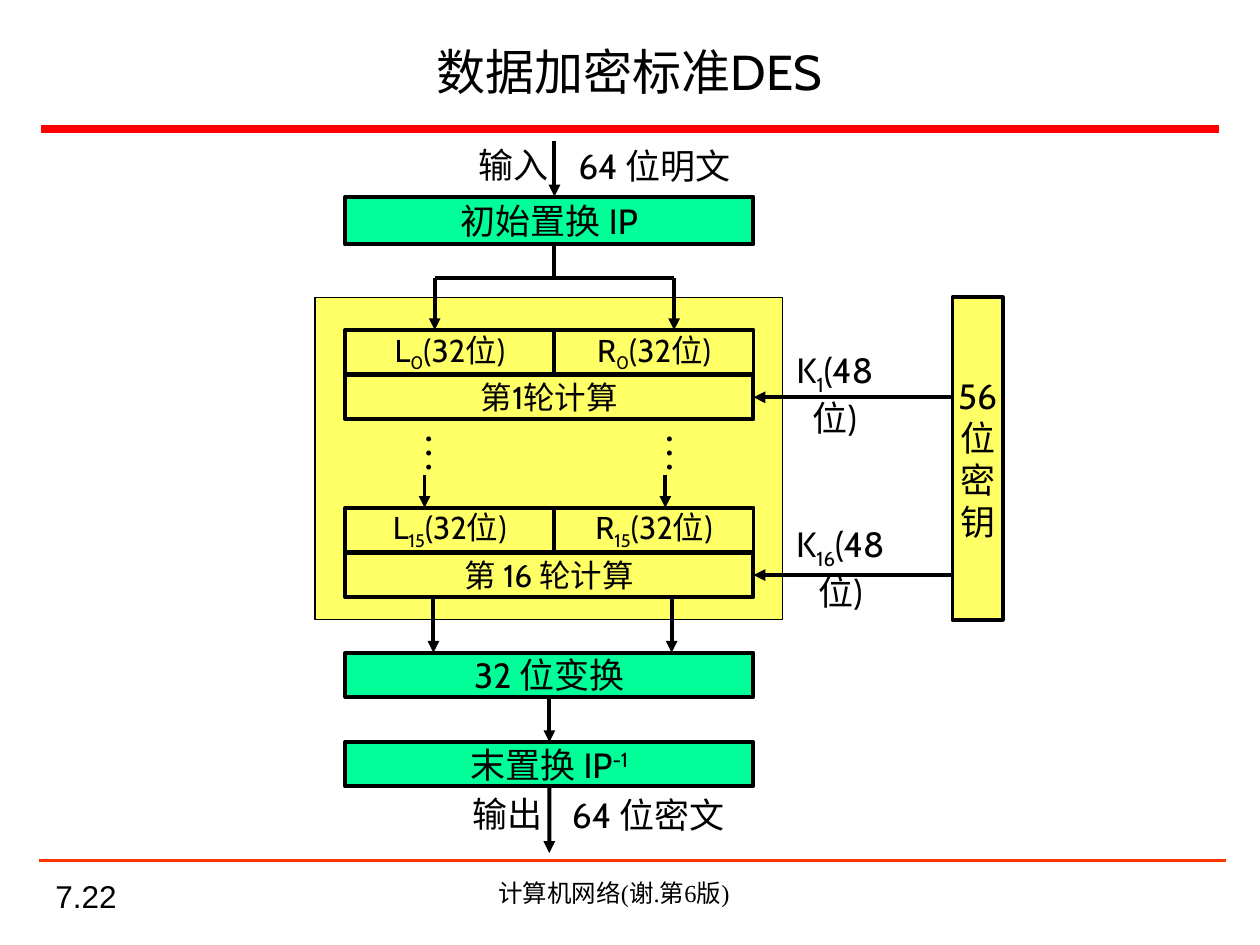
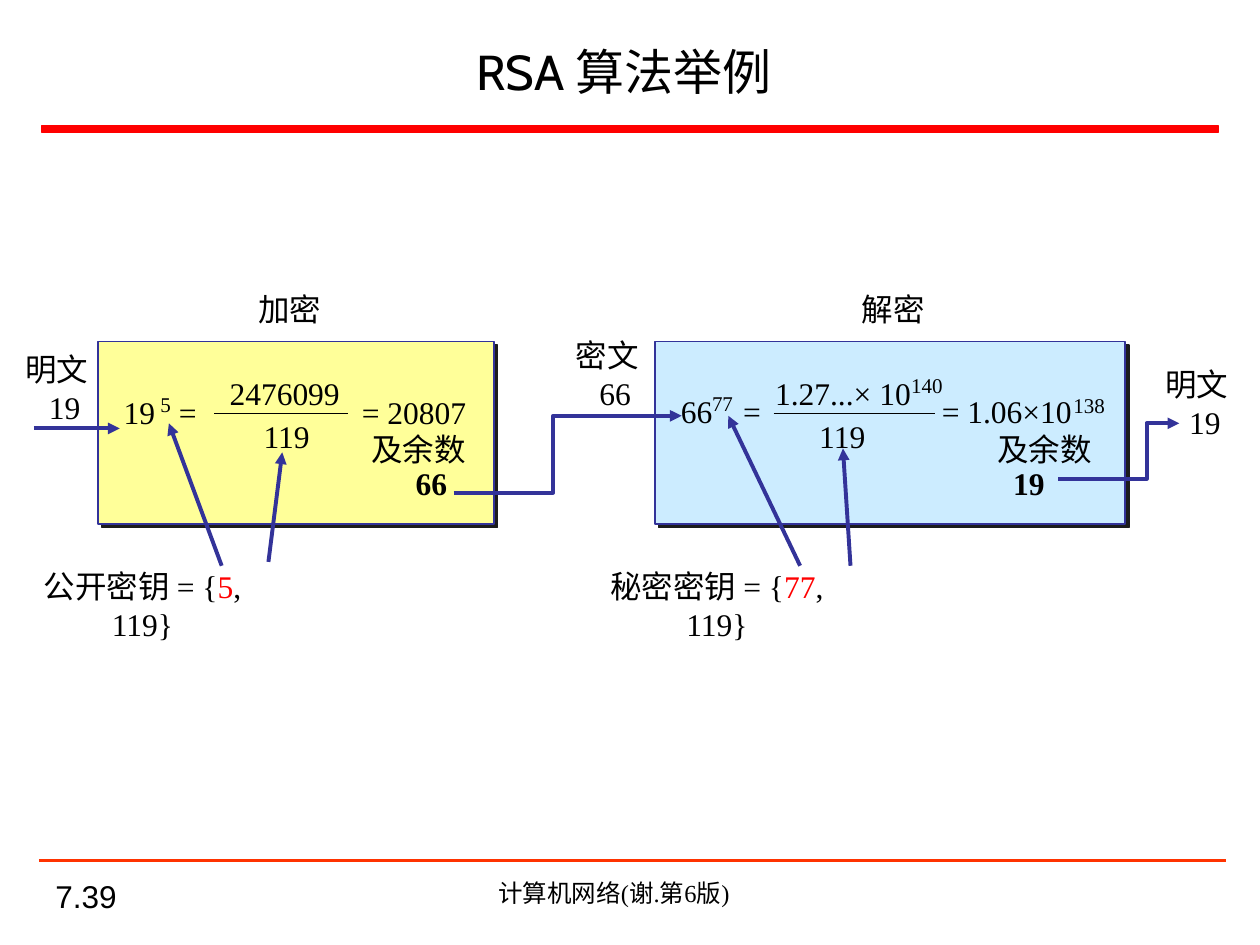
from dataclasses import dataclass
from typing import NamedTuple

from pptx import Presentation
from pptx.dml.color import RGBColor
from pptx.enum.shapes import MSO_CONNECTOR, MSO_SHAPE
from pptx.enum.text import MSO_ANCHOR, PP_ALIGN
from pptx.oxml.ns import qn
from pptx.oxml.xmlchemy import OxmlElement
from pptx.util import Pt


@dataclass(frozen=True)
class Theme:
    black: str = "000000"
    red: str = "FF0000"
    rule: str = "FF3300"
    number: str = "1C1C1C"
    shadow: str = "1C1C1C"
    green: str = "00FF99"
    yellow: str = "FFFF66"
    navy: str = "333399"
    encrypt: str = "FFFF99"
    decrypt: str = "CCECFF"
    sans: str = "Cabin"
    serif: str = "Times New Roman"
    plain: str = "Arial"
    title: float = 28
    dots: float = 24
    large: float = 20
    body: float = 18
    footer: float = 14
    power: float = 12
    thick: float = 2.25


T = Theme()


class Run(NamedTuple):
    text: str
    color: str = T.black
    base: int = 0
    bold: bool = False


class Line(NamedTuple):
    runs: tuple[Run, ...]
    shift: float = 0
    spacing: float | None = None
    before: float = 0


class Box(NamedTuple):
    x: float
    y: float
    w: float
    h: float


class Style(NamedTuple):
    font: str = T.serif
    size: float = T.body
    align: PP_ALIGN = PP_ALIGN.CENTER
    anchor: MSO_ANCHOR = MSO_ANCHOR.TOP
    wrap: bool = False


class Label(NamedTuple):
    box: Box
    lines: tuple[Line, ...]
    style: Style = Style()


class Arrow(NamedTuple):
    x1: float
    y1: float
    x2: float
    y2: float
    head: bool = True
    color: str = T.black
    width: float = T.thick


SANS = Style(T.sans, T.large)
CELL = Style(T.sans, T.body, anchor=MSO_ANCHOR.MIDDLE)
STAGE = CELL._replace(size=T.large)


def line(text: str, **kw) -> Line:
    return Line((Run(text),), **kw)


def lines(*texts: str) -> tuple[Line, ...]:
    return tuple(line(t) for t in texts)


def rgb(value: str) -> RGBColor:
    return RGBColor.from_string(value)


def pts(*values: float) -> list[int]:
    return [Pt(v) for v in values]


def write(s, content: tuple[Line, ...], style: Style) -> None:
    tf = s.text_frame
    for k, v in {"word_wrap": style.wrap, "vertical_anchor": style.anchor}.items():
        setattr(tf, k, v)
    for i, ln in enumerate(content):
        p = tf.add_paragraph() if i else tf.paragraphs[0]
        fmt = {"alignment": style.align, "line_spacing": ln.spacing, "space_before": Pt(ln.before)}
        for k, v in fmt.items():
            setattr(p, k, v)
        if ln.shift:
            side = "marL" if ln.shift > 0 else "marR"
            p._p.get_or_add_pPr().set(side, str(Pt(abs(ln.shift))))
        for run in ln.runs:
            r = p.add_run()
            r.text = run.text
            for k, v in {"name": style.font, "size": Pt(style.size), "bold": run.bold}.items():
                setattr(r.font, k, v)
            r.font.color.rgb = rgb(run.color)
            if run.base:
                r._r.get_or_add_rPr().set("baseline", str(run.base * 1000))


def add_label(slide, label: Label):
    s = slide.shapes.add_textbox(*pts(*label.box))
    write(s, label.lines, label.style)
    return s


def stroke(s, color: str, width: float, head: bool = False) -> None:
    s.line.color.rgb = rgb(color)
    s.line.width = Pt(width)
    if head:
        end = OxmlElement("a:tailEnd")
        end.set("type", "triangle")
        s.line._get_or_add_ln().append(end)


def add_box(slide, box: Box, fill: str | None = None, color: str = T.black, width: float = T.thick,
            content: tuple[Line, ...] = (), style: Style = CELL):
    s = slide.shapes.add_shape(MSO_SHAPE.RECTANGLE, *pts(*box))
    s.shadow.inherit = False
    if fill:
        s.fill.solid()
        s.fill.fore_color.rgb = rgb(fill)
    else:
        s.fill.background()
    stroke(s, color, width)
    if content:
        write(s, content, style)
    return s


def drop_shadow(s) -> None:
    shadow = OxmlElement("a:outerShdw")
    for k, v in {"blurRad": 0, "dist": Pt(2.8), "dir": 45 * 60000, "algn": "ctr", "rotWithShape": 0}.items():
        shadow.set(k, str(v))
    clr = OxmlElement("a:srgbClr")
    clr.set("val", T.shadow)
    shadow.append(clr)
    s._element.spPr.find(qn("a:effectLst")).append(shadow)


def add_arrow(slide, a: Arrow):
    c = slide.shapes.add_connector(MSO_CONNECTOR.STRAIGHT, *pts(a.x1, a.y1, a.x2, a.y2))
    stroke(c, a.color, a.width, a.head)
    c._element.spPr.append(OxmlElement("a:effectLst"))
    return c


def add_path(slide, points: list[tuple[float, float]]) -> None:
    start, *rest = [tuple(pts(*pt)) for pt in points]
    fb = slide.shapes.build_freeform(*start, scale=1.0)
    fb.add_line_segments(rest, close=False)
    s = fb.convert_to_shape()
    s.shadow.inherit = False
    s.fill.background()
    stroke(s, T.navy, T.thick, True)


def new_slide(prs, title: str, number: str):
    slide = prs.slides.add_slide(prs.slide_layouts[6])
    add_label(slide, Label(Box(24.5, 502.6, 149.8, 23.8), lines(number),
                           Style(T.plain, align=PP_ALIGN.LEFT, anchor=MSO_ANCHOR.BOTTOM, wrap=True)))
    add_box(slide, Box(23.8, 72, 672.5, 3.6), T.red, T.red, 1)
    add_arrow(slide, Arrow(22.3, 491.8, 700.6, 491.8, False, T.rule, 1.5))
    add_label(slide, Label(Box(203.8, 498.2, 293.8, 24.5), lines("计算机网络(谢.第6版)"),
                           Style(size=T.footer, wrap=True)))
    add_label(slide, Label(Box(28.1, 15.8, 663.1, 49.7), lines(title),
                           Style(T.sans, T.title, anchor=MSO_ANCHOR.MIDDLE, wrap=True)))
    return slide


def build_des(prs) -> None:
    slide = new_slide(prs, "数据加密标准DES", "7.22")
    left, mid, right, row = 197.3, 316.8, 430.6, 25.2
    full = right - left
    key_left = 544.3

    add_box(slide, Box(180, 169.9, 267.1, 184.3), T.yellow, width=0.75)
    add_box(slide, Box(key_left, 169.9, 28.8, 184.3), T.yellow,
            content=lines("56", "位", "密", "钥"), style=STAGE)
    add_box(slide, Box(left, 112.3, full, 27.4), T.green, content=lines("初始置换 IP"), style=STAGE)
    swap = add_box(slide, Box(left, 373, full, row), T.green, content=lines("32 位变换"), style=STAGE)
    final = add_box(slide, Box(left, 424.1, full, row), T.green,
                    content=(Line((Run("末置换 IP"), Run("-1", base=30))),), style=STAGE)

    rounds = ((1, 188.6, "第1轮计算", Box(446.4, 195.8, 61.2, 31.7)),
              (16, 290.2, "第 16 轮计算", Box(446.4, 295.2, 67.7, 31.7)))
    for n, top, name, key_box in rounds:
        for half, x, w in (("L", left, mid - left), ("R", mid, right - mid)):
            runs = (Run(half), Run(str(n - 1), base=-25), Run("(32位)"))
            add_box(slide, Box(x, top, w, row), content=(Line(runs),))
        calc_top = top + 25.8
        calc = add_box(slide, Box(left, calc_top, full, row), content=lines(name))
        y = calc_top + row / 2
        add_arrow(slide, Arrow(key_left, y, right, y)).end_connect(calc, 3)
        runs = (Run("K"), Run(str(n), base=-25), Run("(48位)"))
        add_label(slide, Label(key_box, (Line(runs),), SANS._replace(wrap=True)))

    for x_in, x_dots, x_out in ((248.4, 242.6, 247.7), (385.2, 380.2, 383.8)):
        add_arrow(slide, Arrow(x_in, 159.1, x_in, 188.6))
        add_arrow(slide, Arrow(x_dots, 271.4, x_dots, 290.2))
        add_arrow(slide, Arrow(x_out, 341.3, x_out, 373))
        s = add_label(slide, Label(Box(x_dots - 15.1, 239.8, 43.9, 31.7), (line("…", before=12),),
                                   Style(size=T.dots, wrap=True)))
        s.text_frame._txBody.bodyPr.set("vert", "eaVert")

    add_arrow(slide, Arrow(mid, 80.6, mid, 112.3))
    add_arrow(slide, Arrow(mid, 139.7, mid, 159.1, False))
    add_arrow(slide, Arrow(248.4, 159.1, 385.2, 159.1, False))
    c = add_arrow(slide, Arrow(313.2, 398.2, 313.2, 424.1))
    c.begin_connect(swap, 2)
    c.end_connect(final, 0)
    add_arrow(slide, Arrow(313.9, 449.3, 313.9, 487.4)).begin_connect(final, 2)

    for text, x, y, w in (("输入", 265.7, 78.5, 55.4), ("64 位明文", 320.4, 79.2, 107.3),
                          ("输出", 262.1, 449.3, 55.4), ("64 位密文", 316.8, 450, 107.3)):
        add_label(slide, Label(Box(x, y, w, 31.7), lines(text), SANS))


def build_rsa(prs) -> None:
    slide = new_slide(prs, "RSA 算法举例 ", "7.39")
    for x, w, fill in ((374.4, 268.6, T.decrypt), (56.2, 226.1, T.encrypt)):
        drop_shadow(add_box(slide, Box(x, 195.1, w, 104.4), fill, T.navy, 1))

    for text, value, x, y in (("明文", "19", 7.2, 196.6), ("密文", "66", 321.8, 188.6),
                              ("明文", "19", 658.8, 205.2)):
        add_label(slide, Label(Box(x, y, 50.4, 50.4), (line(text), line(value, shift=9))))

    for text, x, y, w in (
            ("加密", 140.4, 162, 50.4), ("解密", 485.3, 162, 50.4),
            ("19", 63.5, 221, 32.4), ("=", 95, 221, 24.6), ("= 20807", 199.6, 221, 74),
            ("2476099", 123.8, 210.2, 77.8), ("119", 143.3, 234.7, 41),
            ("66", 381.9, 220.3, 32.4), ("=", 417.5, 220.3, 24.6), ("= 1.06×10", 530.9, 220.3, 88.8),
            ("1.27...× 10", 435.6, 210.2, 92.2), ("119", 460.8, 234.7, 41)):
        add_label(slide, Label(Box(x, y, w, 28.8), lines(text)))

    for text, x, y, w in (("5", 84.2, 220.3, 20.9), ("77", 399.6, 219.6, 26.6),
                          ("140", 513.4, 209.5, 32.4), ("138", 606.2, 221, 32.4)):
        add_label(slide, Label(Box(x, y, w, 21.6), lines(text), Style(size=T.power)))

    for value, shift, x, w in (("66", 15, 204.5, 69.1), ("19", -18, 558, 77.8)):
        rest = Line((Run(value, bold=True),), shift, 0.9)
        add_label(slide, Label(Box(x, 244.8, w, 46.8), (line("及余数", spacing=0.9), rest)))

    for name, exponent, x, w in (("公开密钥", "5", 13.7, 135.4), ("秘密密钥", "77", 337.7, 144)):
        runs = (Run(f"{name} = {{"), Run(exponent, T.red), Run(", 119}"))
        add_label(slide, Label(Box(x, 320.4, w, 28.8), (Line(runs),), Style(wrap=True)))

    for ends in ((19.4, 244.8, 68.4, 244.8), (126.7, 323.3, 96.5, 241.9), (153.4, 321.1, 161.3, 258.5),
                 (457.2, 323.3, 416.2, 237.6), (486, 323.3, 481.7, 256.3)):
        add_arrow(slide, Arrow(*ends, color=T.navy))
    for x1, x2 in ((122.4, 198.7), (442.1, 534.2)):
        add_arrow(slide, Arrow(x1, 236.2, x2, 236.2, False, width=0.75))
    for x1, bend, x2, low, high in ((259.2, 316.1, 389.5, 281.5, 237.6), (604.8, 655.2, 673.9, 273.6, 241.9)):
        add_path(slide, [(x1, low), (bend, low), (bend, high), (x2, high)])


def main() -> None:
    prs = Presentation()
    prs.slide_width, prs.slide_height = Pt(720), Pt(540)
    build_des(prs)
    build_rsa(prs)
    prs.save("out.pptx")


if __name__ == "__main__":
    main()
